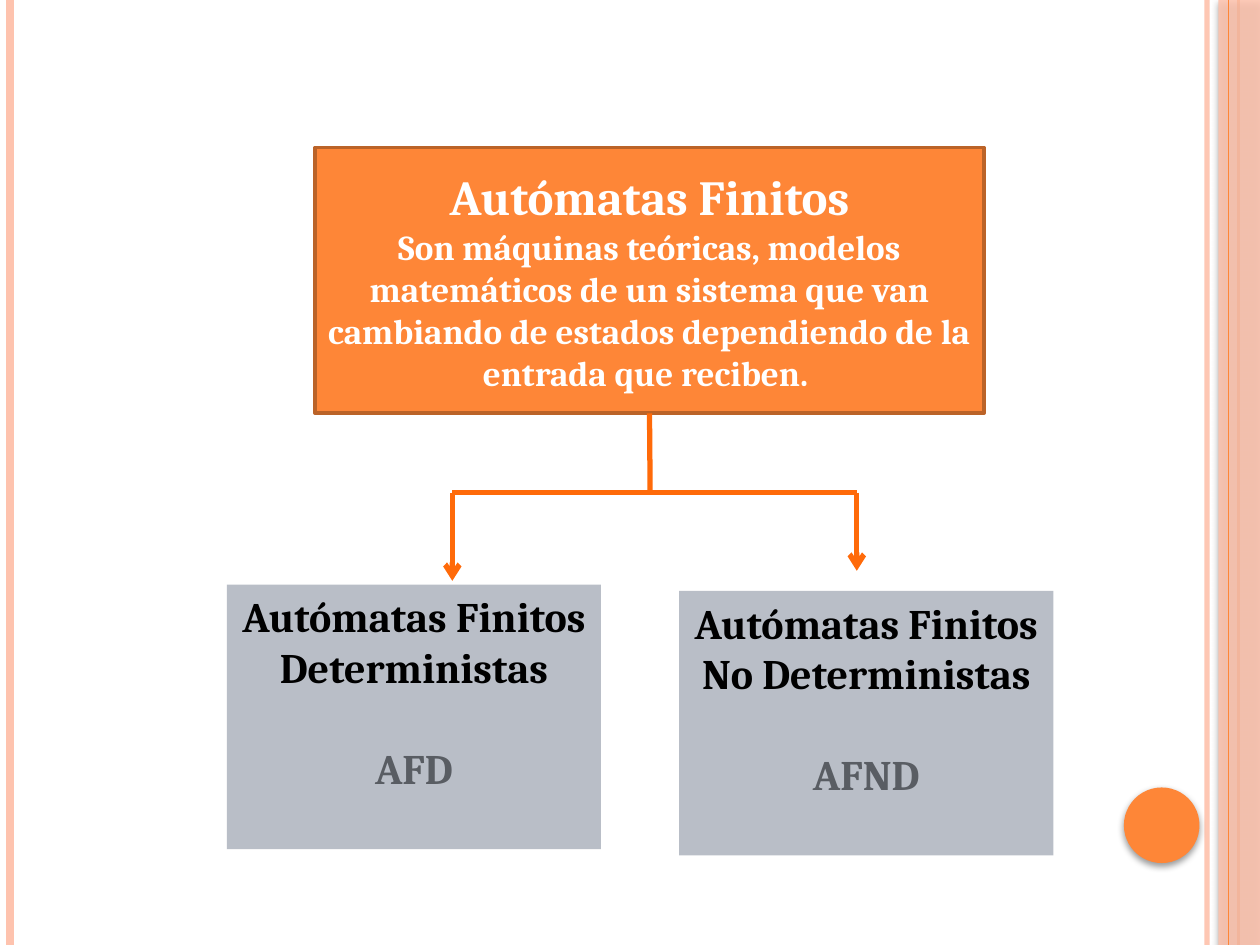
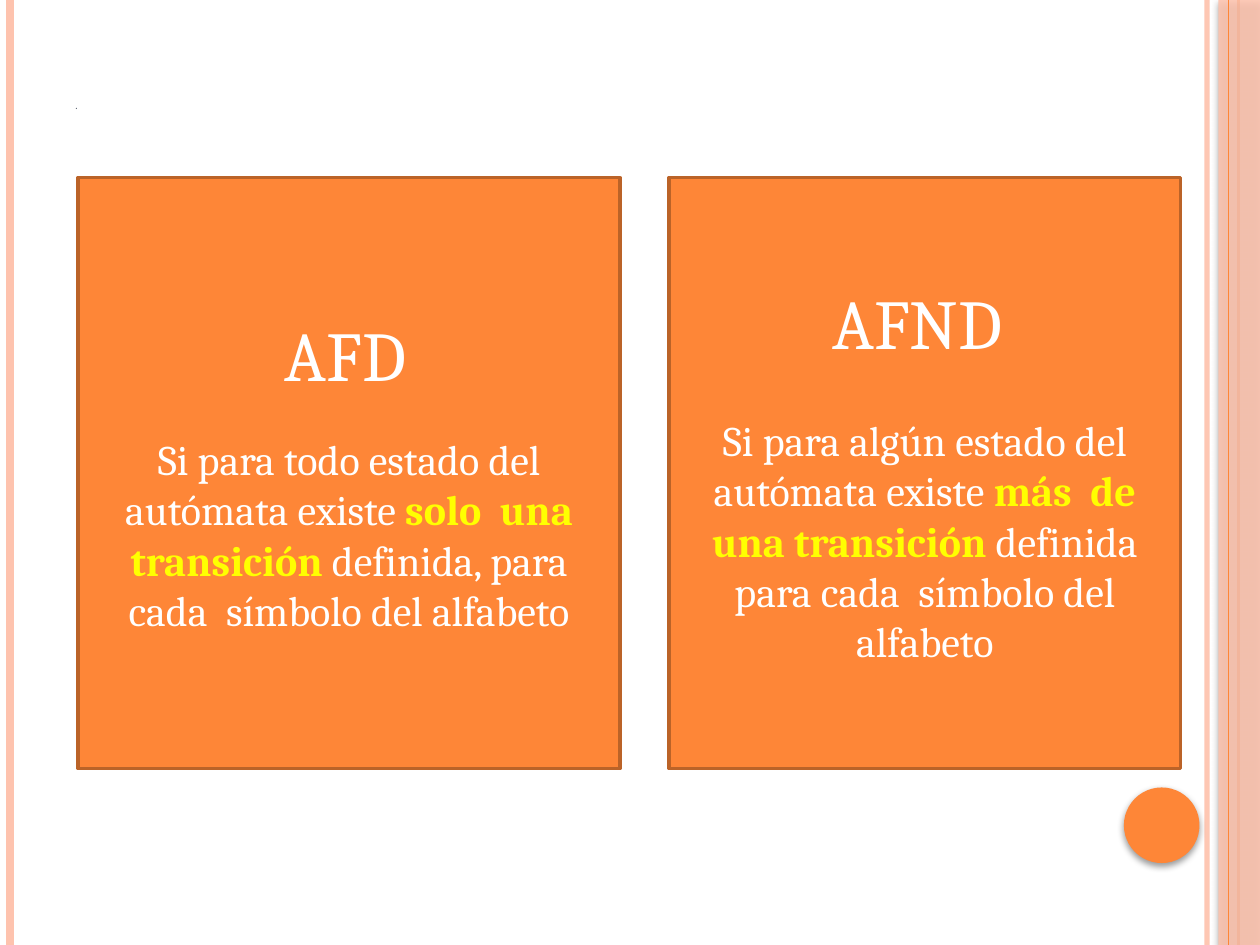
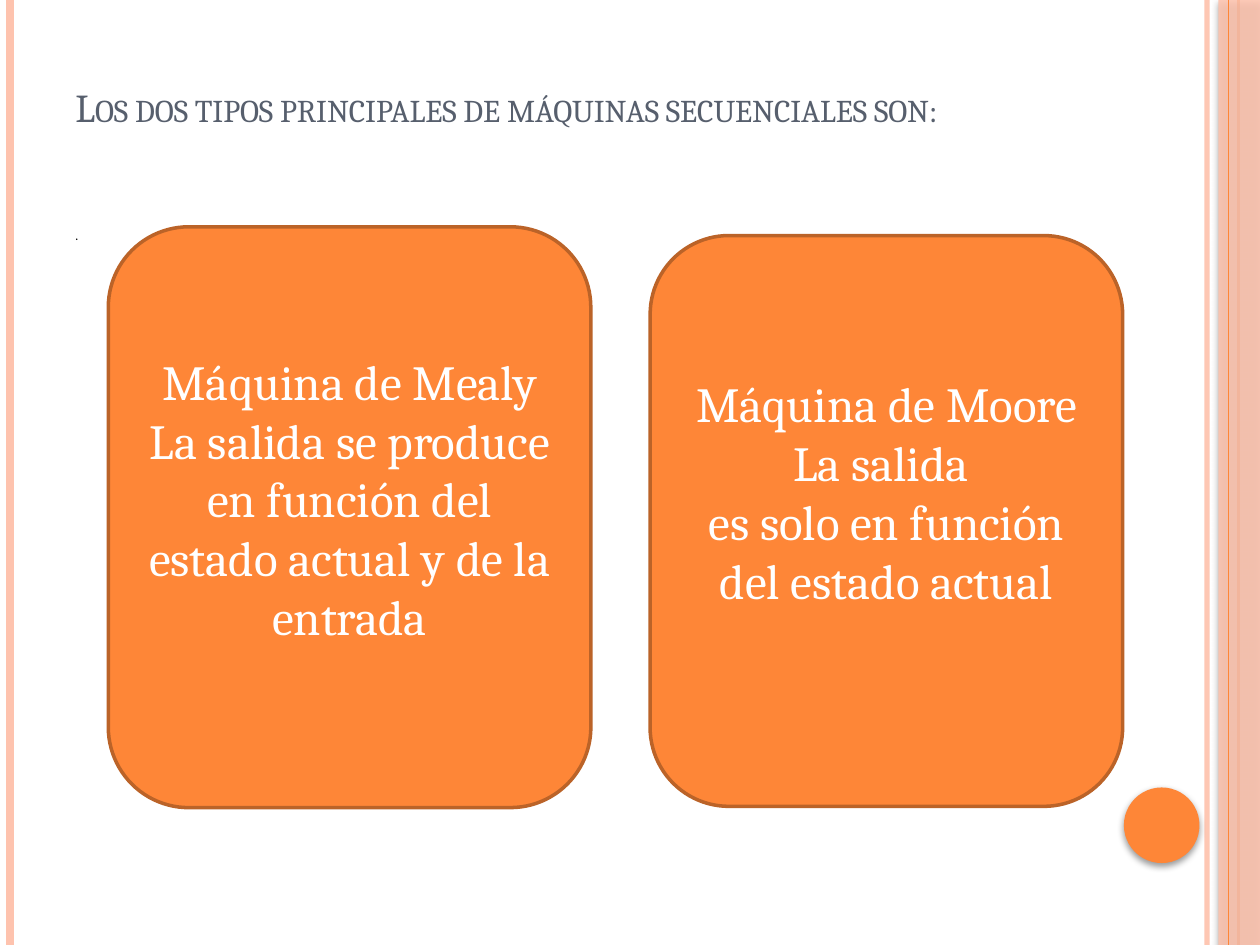
"""Builds three slides on finite automata and sequential machines."""
from dataclasses import dataclass

from lxml import etree
from pptx import Presentation, util as u
from pptx.dml.color import RGBColor
from pptx.enum import shapes, text
from pptx.oxml.ns import qn

FONT = "Cambria"
WHITE, BLACK, YELLOW = "FFFFFF", "000000", "FFFF00"
ORANGE, DARK_ORANGE, ARROW_ORANGE = "FE8637", "BB6328", "FF6A09"
PEACH, GREY, DARK_GREY, SLATE = "FEC3AE", "B9BEC7", "595D63", "575F6D"
RECTANGLE = shapes.MSO_SHAPE.RECTANGLE
ROUNDED = shapes.MSO_SHAPE.ROUNDED_RECTANGLE
MIDDLE, TOP, BOTTOM = (text.MSO_ANCHOR.MIDDLE, text.MSO_ANCHOR.TOP,
                       text.MSO_ANCHOR.BOTTOM)


@dataclass
class Line:
    """One paragraph; a run is a string or a tuple of text, size, colour, bold."""
    runs: list
    size: float
    colour: str = WHITE
    bold: bool = False
    before: float = 0


DEFINITION = [
    Line(["Autómatas Finitos"], 28, bold=True),
    Line(["Son máquinas teóricas, modelos matemáticos de un sistema que van "
          "cambiando de estados dependiendo de la entrada que reciben. "], 20, bold=True),
]
KINDS = [
    ("Autómatas Finitos Deterministas", "AFD", 1.8, 4.64),
    ("Autómatas Finitos No Deterministas", "AFND", 5.39, 4.69),
]
BRANCH_Y = 3.91
ARROWS = [(3.59, 4.61), (6.8, 4.53)]
TRANSITIONS = [
    ((0.62, 1.41, 4.3, 4.69), [
        Line(["AFD", (" ", 18, WHITE, False)], 40),
        Line(["Si para todo estado del autómata existe ",
              ("solo  una transición ", 24, YELLOW, True),
              "definida, para cada  símbolo del alfabeto"], 24, before=21.6)]),
    ((5.31, 1.41, 4.06, 4.69), [
        Line(["AFND "], 40),
        Line(["Si para algún estado del autómata existe ",
              ("más  de una transición ", 24, YELLOW, True),
              "definida para cada  símbolo del alfabeto"], 24, before=28.8)]),
]
MACHINES = [
    ((0.86, 1.8, 3.83, 4.61), 0.35,
     ["Máquina de Mealy",
      "La salida se produce en función del estado actual y de la entrada"]),
    ((5.16, 1.87, 3.75, 4.53), 0.52,
     ["Máquina de Moore", "La salida ", "es solo en función del estado actual"]),
]


def rgb(colour):
    """Turn a hex string into a colour."""
    return RGBColor.from_string(colour)


def set_alpha(properties, percent):
    """Make the first solid colour under the given element translucent."""
    colour = next(properties.iter(qn("a:srgbClr")))
    etree.SubElement(colour, qn("a:alpha")).set("val", str(percent * 1000))


def add_shadow(shape):
    """Give a shape a soft shadow that falls downwards."""
    effects = shape._element.spPr.find(qn("a:effectLst"))
    shadow = etree.SubElement(effects, qn("a:outerShdw"), blurRad=str(u.Pt(4)),
                              dist=str(u.Pt(2)), dir="5400000", rotWithShape="0")
    etree.SubElement(shadow, qn("a:srgbClr"), val=BLACK)
    set_alpha(shadow, 40)


def style_font(font, size, colour, bold):
    """Set face, size, colour and weight."""
    font.name, font.size, font.bold = FONT, u.Pt(size), bold
    font.color.rgb = rgb(colour)


def write(shape, lines, anchor, align=text.PP_ALIGN.CENTER):
    """Fill a shape or text box with lines."""
    frame = shape.text_frame
    frame.word_wrap = True
    frame.vertical_anchor = anchor
    for index, line in enumerate(lines):
        paragraph = frame.add_paragraph() if index else frame.paragraphs[0]
        paragraph.alignment = align
        if line.before:
            paragraph.space_before = u.Pt(line.before)
        style_font(paragraph.font, line.size, line.colour, line.bold)
        for item in line.runs:
            run = paragraph.add_run()
            if isinstance(item, tuple):
                run.text = item[0]
                style_font(run.font, *item[1:])
            else:
                run.text = item


def add_block(slide, kind, place, fill, border=None):
    """Add a filled preset shape."""
    shape = slide.shapes.add_shape(kind, *map(u.Inches, place))
    shape.shadow.inherit = False
    shape.fill.solid()
    shape.fill.fore_color.rgb = rgb(fill)
    if border:
        shape.line.color.rgb = rgb(border)
        shape.line.width = u.Pt(2)
    else:
        shape.line.fill.background()
    return shape


def add_line(slide, start, end, colour, width, arrow=False):
    """Add a straight line, with an arrowhead at its end on request."""
    line = slide.shapes.add_connector(shapes.MSO_CONNECTOR.STRAIGHT,
                                      *map(u.Inches, (*start, *end)))
    line.line.color.rgb = rgb(colour)
    line.line.width = u.Pt(width)
    properties = line._element.spPr
    if arrow:
        etree.SubElement(properties.find(qn("a:ln")), qn("a:tailEnd"), type="arrow")
    etree.SubElement(properties, qn("a:effectLst"))
    return line


def add_text(slide, place, line, anchor=TOP, small_caps=False):
    """Add a left-aligned text box with one line."""
    box = slide.shapes.add_textbox(*map(u.Inches, place))
    write(box, [line], anchor, text.PP_ALIGN.LEFT)
    if small_caps:
        run = box.text_frame.paragraphs[0].runs[0]
        run._r.get_or_add_rPr().set("cap", "small")
    return box


def add_title(slide, title, size, height):
    """Add the small-caps title."""
    return add_text(slide, (0.5, 0.3, 9, height), Line([title], size, SLATE), BOTTOM, True)


def add_slide(presentation):
    """Add a blank slide with the side bands and the disc."""
    slide = presentation.slides.add_slide(presentation.slide_layouts[6])

    def stripe(x, colour, width):
        return add_line(slide, (x, 0), (x, 7.5), colour, width)

    set_alpha(stripe(9.58, PEACH, 3)._element.spPr, 93)
    stripe(0.08, PEACH, 4.5)
    stripe(9.83, ORANGE, 1.5)
    band = add_block(slide, RECTANGLE, (9.67, 0, 0.33, 7.5), PEACH)
    set_alpha(band._element.spPr, 87)
    add_shadow(band)
    stripe(9.75, ORANGE, 0.75)
    add_shadow(add_block(slide, shapes.MSO_SHAPE.OVAL, (8.92, 6.25, 0.6, 0.6), ORANGE))
    return slide


def build_tree(presentation):
    """Show the definition and the two kinds of automata."""
    slide = add_slide(presentation)
    root = add_block(slide, RECTANGLE, (2.5, 1.17, 5.31, 2.11), ORANGE, DARK_ORANGE)
    write(root, DEFINITION, MIDDLE)
    for name, initials, left, top in KINDS:
        kind = add_block(slide, RECTANGLE, (left, top, 2.97, 2.1), GREY)
        write(kind, [Line([name], 24, BLACK, True),
                     Line([initials], 24, DARK_GREY, True, 28.8)], TOP)
    trunk = add_line(slide, (5.16, 3.28), (5.16, BRANCH_Y), ARROW_ORANGE, 3)
    trunk.begin_connect(root, 2)
    add_line(slide, (ARROWS[0][0], BRANCH_Y), (ARROWS[1][0], BRANCH_Y), ARROW_ORANGE, 3)
    for x, tip in ARROWS:
        add_line(slide, (x, BRANCH_Y), (x, tip), ARROW_ORANGE, 3, arrow=True)


def build_transitions(presentation):
    """Compare the transitions of both kinds."""
    slide = add_slide(presentation)
    add_title(slide, ".", 8, 0.64)
    for place, lines in TRANSITIONS:
        write(add_block(slide, RECTANGLE, place, ORANGE, DARK_ORANGE), lines, MIDDLE)


def build_machines(presentation):
    """Compare the two sequential machines."""
    slide = add_slide(presentation)
    title = add_title(slide, "Los dos tipos principales de máquinas secuenciales son:",
                      22.6, 0.79)
    title.text_frame.paragraphs[0].line_spacing = 0.9
    add_text(slide, (0.5, 1.75, 8.17, 5.33), Line(["."], 8, BLACK))
    for place, bottom_margin, lines in MACHINES:
        machine = add_block(slide, ROUNDED, place, ORANGE, DARK_ORANGE)
        machine.text_frame.margin_bottom = u.Inches(bottom_margin)
        write(machine, [Line([line], 28) for line in lines], MIDDLE)


def main():
    """Build and save the presentation."""
    presentation = Presentation()
    presentation.slide_width, presentation.slide_height = u.Inches(10), u.Inches(7.5)
    for build in (build_tree, build_transitions, build_machines):
        build(presentation)
    presentation.save("out.pptx")


if __name__ == "__main__":
    main()
